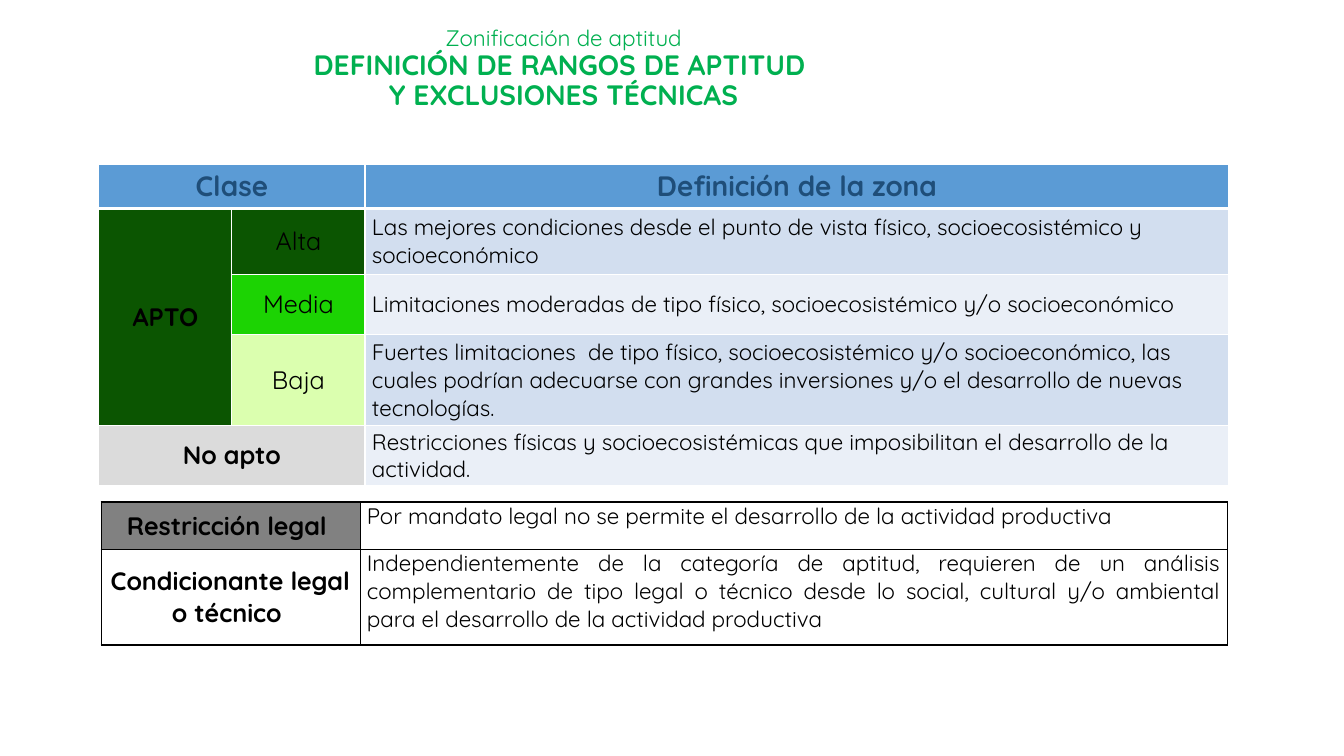
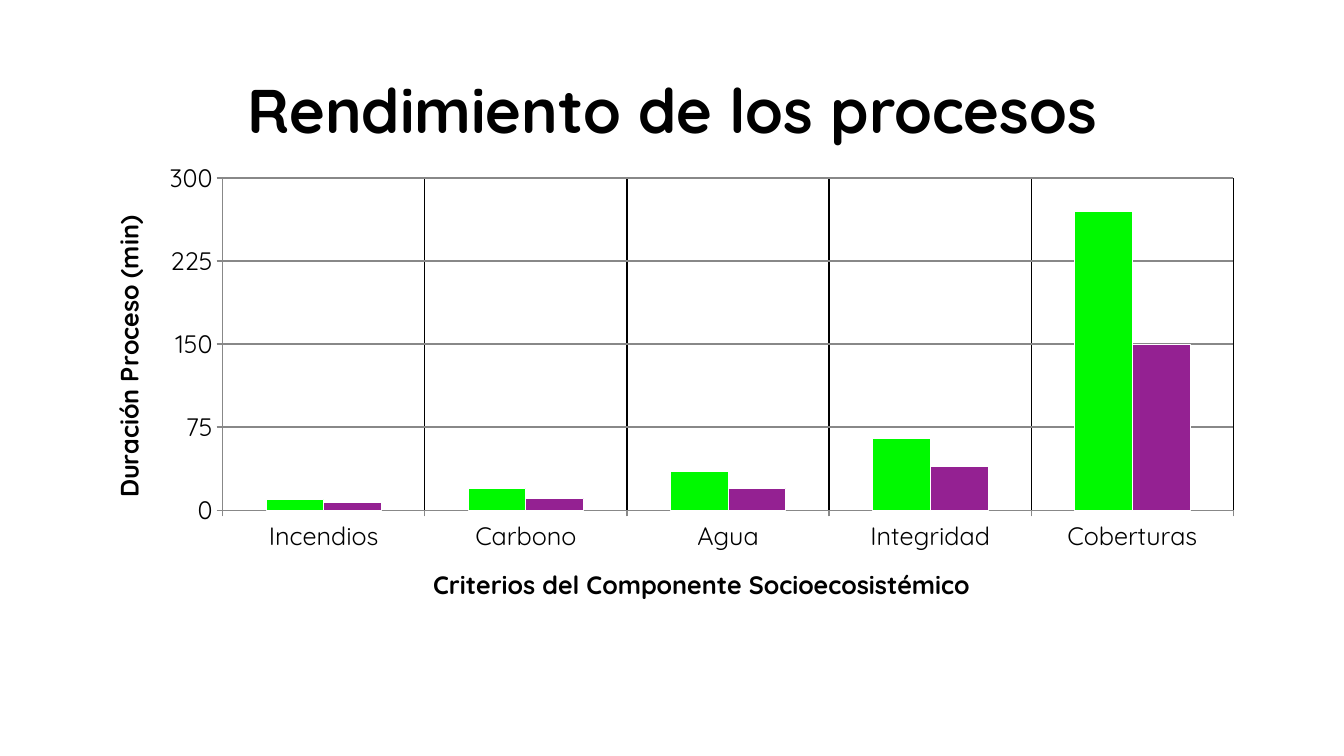
"""Build two slides: land aptitude classes and process performance."""
from dataclasses import dataclass
from typing import Optional

import lxml.etree
import pptx
import pptx.chart.data
import pptx.dml.color
import pptx.enum.chart
import pptx.enum.text
import pptx.oxml
import pptx.oxml.ns
import pptx.util

Inches = pptx.util.Inches
Pt = pptx.util.Pt
ALIGN = pptx.enum.text.PP_ALIGN
ANCHOR = pptx.enum.text.MSO_ANCHOR
FACE = "Quicksand"
COLORS = {
    "black": "000000", "white": "FFFFFF", "title": "00B050",
    "head": "5B9BD5", "navy": "1F4E79", "band": "D2DEEF", "pale": "EAEFF7",
    "high": "0B5501", "mid": "1CD303", "low": "DBFFAF",
    "none": "DBDBDB", "legal": "818181", "axis": "888888",
    "lime": "00F900", "plum": "942192",
}


@dataclass
class Line:
    text: str
    size: int
    bold: bool = False
    color: str = "black"


@dataclass
class Cell:
    line: Line
    fill: Optional[str] = None
    align: ALIGN = ALIGN.CENTER
    anchor: ANCHOR = ANCHOR.MIDDLE
    rows: int = 1
    cols: int = 1


@dataclass
class Edge:
    color: str
    sides: float
    ends: float


@dataclass
class Grid:
    left: float
    top: float
    widths: list[float]
    heights: list[float]
    edge: Edge
    cells: dict[tuple[int, int], Cell]
    rule: Optional[float] = None


def label(text: str, fill: Optional[str], bold: bool = True, rows: int = 1, cols: int = 1) -> Cell:
    return Cell(Line(text, 18, bold), fill, rows=rows, cols=cols)


def detail(text: str, fill: str) -> Cell:
    return Cell(Line(text, 16), fill, ALIGN.LEFT)


def clause(text: str) -> Cell:
    return Cell(Line(text, 16), None, ALIGN.JUSTIFY, ANCHOR.TOP)


CLASSES = Grid(
    0.98, 1.63, [1.32, 1.32, 8.57], [0.44, 0.65, 0.6, 0.9, 0.6], Edge("white", 1, 1),
    {
        (0, 0): Cell(Line("Clase", 20, True, "navy"), "head", cols=2),
        (0, 2): Cell(Line("Definición de la zona", 20, True, "navy"), "head"),
        (1, 0): label("APTO", "high", rows=3),
        (1, 1): label("Alta", "high", False),
        (1, 2): detail("Las mejores condiciones desde el punto de vista físico, "
                       "socioecosistémico y socioeconómico", "band"),
        (2, 1): label("Media", "mid", False),
        (2, 2): detail("Limitaciones moderadas de tipo físico, "
                       "socioecosistémico y/o socioeconómico", "pale"),
        (3, 1): label("Baja", "low", False),
        (3, 2): detail("Fuertes limitaciones  de tipo físico, socioecosistémico y/o "
                       "socioeconómico, las cuales podrían adecuarse con grandes "
                       "inversiones y/o el desarrollo de nuevas tecnologías.", "band"),
        (4, 0): label("No apto", "none", cols=2),
        (4, 2): detail("Restricciones físicas y socioecosistémicas que "
                       "imposibilitan el desarrollo de la actividad.", "pale"),
    },
    rule=3,
)

LIMITS = Grid(
    1, 4.98, [2.57, 8.6], [0.47, 0.95], Edge("black", 0.25, 1),
    {
        (0, 0): label("Restricción legal ", "legal"),
        (0, 1): clause("Por mandato legal no se permite el desarrollo de la "
                       "actividad productiva"),
        (1, 0): label("Condicionante legal o técnico ", None),
        (1, 1): clause("Independientemente de la categoría de aptitud, requieren de un "
                       "análisis complementario de tipo legal o técnico desde lo social, "
                       "cultural y/o ambiental para el desarrollo de la actividad productiva"),
    },
)


def rgb(name: str) -> pptx.dml.color.RGBColor:
    return pptx.dml.color.RGBColor.from_string(COLORS[name])


def style(font, size: int, bold: bool = False, color: str = "black") -> None:
    font.name = FACE
    font.size = Pt(size)
    font.bold = bold
    font.color.rgb = rgb(color)


def write(para, line: Line, align: ALIGN = ALIGN.CENTER) -> None:
    para.text = line.text
    para.alignment = align
    for run in para.runs:
        style(run.font, line.size, line.bold, line.color)


def title(slide, box: tuple[float, ...], anchor: ANCHOR, lines: list[Line]) -> None:
    frame = slide.shapes.add_textbox(*map(Inches, box)).text_frame
    frame.word_wrap = True
    frame.vertical_anchor = anchor
    for num, line in enumerate(lines):
        para = frame.add_paragraph() if num else frame.paragraphs[0]
        para.line_spacing = 0.9
        write(para, line)


def border(cell, color: str, sides: float, top: float, foot: float) -> None:
    props = cell._tc.get_or_add_tcPr()
    for num, (side, width) in enumerate(zip("LRTB", (sides, sides, top, foot))):
        props.insert(num, pptx.oxml.parse_xml(
            f'<a:ln{side} {pptx.oxml.ns.nsdecls("a")} w="{int(Pt(width))}">'
            f'<a:solidFill><a:srgbClr val="{COLORS[color]}"/></a:solidFill></a:ln{side}>'))


def paint(cell, fill: Optional[str]) -> None:
    if fill:
        cell.fill.solid()
        cell.fill.fore_color.rgb = rgb(fill)
    else:
        cell.fill.background()


def draw(slide, grid: Grid) -> None:
    size = sum(grid.widths), sum(grid.heights)
    table = slide.shapes.add_table(
        len(grid.heights), len(grid.widths),
        *map(Inches, (grid.left, grid.top, *size))).table
    table.first_row = table.horz_banding = False
    for col, width in zip(table.columns, grid.widths):
        col.width = Inches(width)
    for row, height in zip(table.rows, grid.heights):
        row.height = Inches(height)
    for (row, col), item in grid.cells.items():
        cell = table.cell(row, col)
        if item.rows * item.cols > 1:
            cell.merge(table.cell(row + item.rows - 1, col + item.cols - 1))
        cell.margin_left = cell.margin_right = Inches(0.07)
        cell.margin_top = cell.margin_bottom = 0
        cell.vertical_anchor = item.anchor
        write(cell.text_frame.paragraphs[0], item.line, item.align)
        for down in range(row, row + item.rows):
            for over in range(col, col + item.cols):
                part = table.cell(down, over)
                paint(part, item.fill)
                edge, rule = grid.edge, grid.rule or grid.edge.ends
                border(part, edge.color, edge.sides,
                       rule if down == 1 else edge.ends,
                       rule if down == 0 else edge.ends)


def trim(axis, text: str, grid: str) -> None:
    frame = axis.axis_title.text_frame
    write(frame.paragraphs[0], Line(text, 18, True))
    style(axis.tick_labels.font, 18)
    axis.major_tick_mark = pptx.enum.chart.XL_TICK_MARK.OUTSIDE
    axis.minor_tick_mark = pptx.enum.chart.XL_TICK_MARK.NONE
    axis.has_major_gridlines = True
    for line, color in ((axis.format.line, "axis"), (axis.major_gridlines.format.line, grid)):
        line.color.rgb = rgb(color)
        line.width = Pt(1)


def place(chart, left: float, top: float, width: float, height: float) -> None:
    area = chart._chartSpace.chart.plotArea
    for old in area.findall(pptx.oxml.ns.qn("c:layout")):
        area.remove(old)
    layout = pptx.oxml.parse_xml(f'<c:layout {pptx.oxml.ns.nsdecls("c")}><c:manualLayout/></c:layout>')
    pairs = (("layoutTarget", "inner"), ("xMode", "edge"), ("yMode", "edge"),
             ("x", left), ("y", top), ("w", width), ("h", height))
    for tag, value in pairs:
        lxml.etree.SubElement(layout[0], pptx.oxml.ns.qn(f"c:{tag}"), val=str(value))
    area.insert(0, layout)


def plot(slide) -> None:
    data = pptx.chart.data.CategoryChartData()
    data.categories = ["Incendios", "Carbono", "Agua", "Integridad", "Coberturas"]
    data.add_series("Series 1", (10, 20, 35, 65, 270))
    data.add_series("Series 2", (7, 11, 20, 40, 150))
    chart = slide.shapes.add_chart(
        pptx.enum.chart.XL_CHART_TYPE.COLUMN_CLUSTERED,
        *map(Inches, (1.05, 1.46, 11.24, 4.93)), data).chart
    chart.has_title = chart.has_legend = False
    style(chart.font, 10)
    bars = chart.plots[0]
    bars.gap_width, bars.overlap, bars.vary_by_categories = 150, 0, False
    for series, color in zip(bars.series, ("lime", "plum")):
        look = series.format
        look.fill.solid()
        look.fill.fore_color.rgb = rgb(color)
        look.line.color.rgb = rgb("white")
        look.line.width = Pt(0.5)
    trim(chart.category_axis, "Criterios del Componente Socioecosistémico", "black")
    chart.category_axis.tick_label_position = pptx.enum.chart.XL_TICK_LABEL_POSITION.LOW
    axis = chart.value_axis
    trim(axis, "Duración Proceso (min)", "axis")
    axis.minimum_scale, axis.maximum_scale, axis.major_unit = 0, 300, 75
    body = axis.axis_title.text_frame._txBody.bodyPr
    body.set("rot", "-5400000")
    body.set("vert", "horz")
    place(chart, 0.103, 0.062, 0.892, 0.669)


def main() -> None:
    deck = pptx.Presentation()
    deck.slide_width, deck.slide_height = Inches(13.33), Inches(7.5)
    blank = deck.slide_layouts[6]

    slide = deck.slides.add_slide(blank)
    draw(slide, CLASSES)
    draw(slide, LIMITS)
    title(slide, (2.26, 0.13, 6.66, 1.03), ANCHOR.BOTTOM, [
        Line("Zonificación de aptitud", 16, color="title"),
        Line("DEFINICIÓN DE RANGOS DE APTITUD ", 20, True, "title"),
        Line("Y EXCLUSIONES TÉCNICAS", 20, True, "title"),
    ])

    slide = deck.slides.add_slide(blank)
    plot(slide)
    title(slide, (0.92, 0.4, 11.5, 1.45), ANCHOR.MIDDLE,
          [Line("Rendimiento de los procesos", 44, True)])
    deck.save("out.pptx")


if __name__ == "__main__":
    main()
